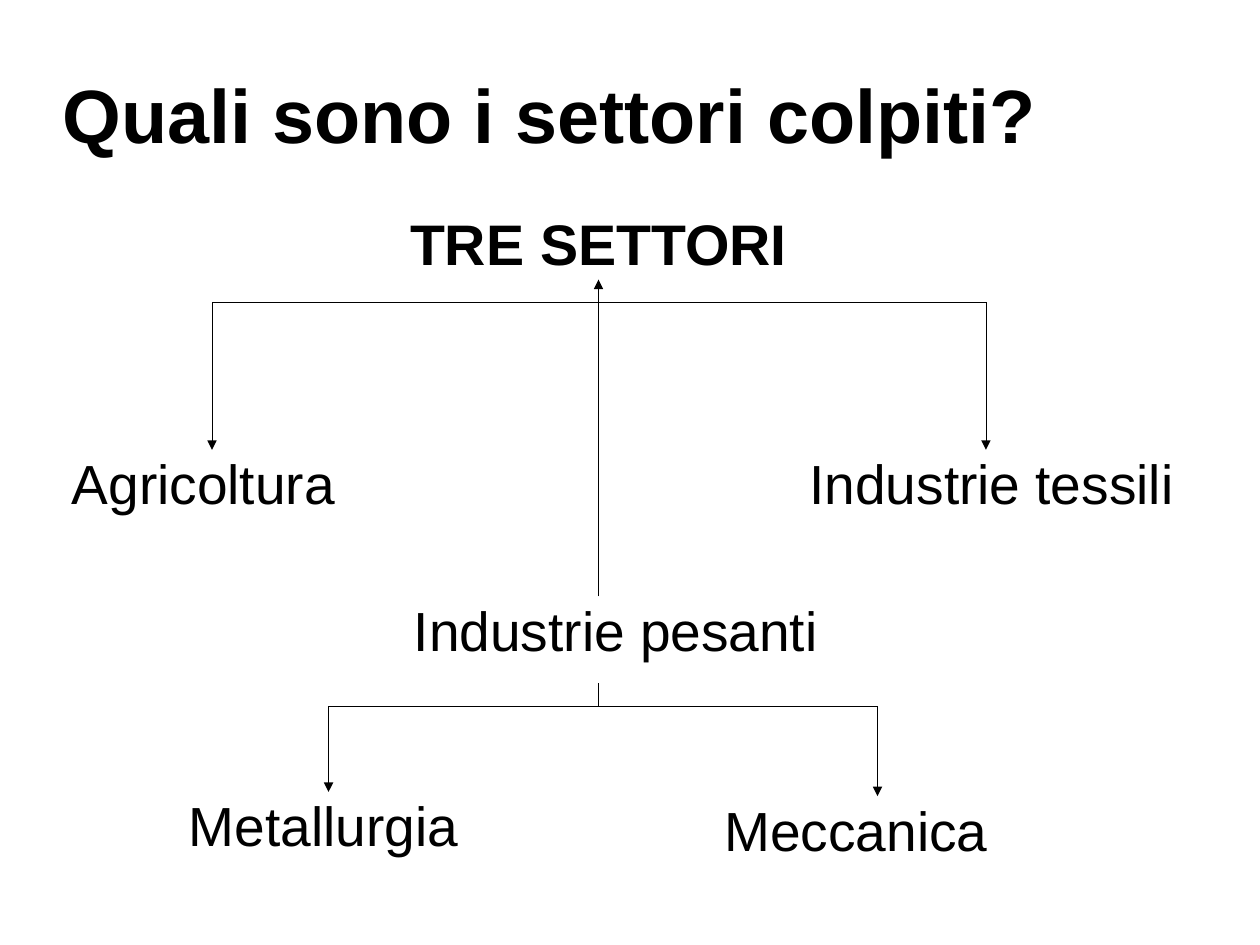
from dataclasses import dataclass
from lxml.etree import SubElement
from pptx import Presentation
from pptx.dml.color import RGBColor
from pptx.enum.shapes import MSO_CONNECTOR
from pptx.enum.text import MSO_ANCHOR, PP_ALIGN
from pptx.oxml.ns import qn
from pptx.util import Cm, Pt


@dataclass
class Theme:
    font: str = "Arial"
    ink: RGBColor = RGBColor(0, 0, 0)
    paper: RGBColor = RGBColor(255, 255, 255)
    title_size: float = 47.6
    heading_size: float = 36
    label_size: float = 34.7


theme = Theme()
presentation = Presentation()
presentation.slide_width = Cm(28)
presentation.slide_height = Cm(21)
column = presentation.slide_width / 100
row = presentation.slide_height / 100
slide = presentation.slides.add_slide(presentation.slide_layouts[5])
slide.background.fill.solid()
slide.background.fill.fore_color.rgb = theme.paper


def write(shape, text, box, size, bold=False, align=PP_ALIGN.LEFT, indent=0):
    left, top, width, height = box
    shape.left, shape.width = round(left * column), round(width * column)
    shape.top, shape.height = round(top * row), round(height * row)
    frame = shape.text_frame
    frame.text = text
    frame.word_wrap = True
    frame.margin_left = round(indent * column)
    frame.margin_right = frame.margin_top = frame.margin_bottom = 0
    frame.vertical_anchor = MSO_ANCHOR.MIDDLE if bold else MSO_ANCHOR.TOP
    paragraph = frame.paragraphs[0]
    paragraph.alignment = align
    font = paragraph.runs[0].font
    font.name, font.size, font.bold = theme.font, Pt(size), bold
    font.color.rgb = theme.ink


def connect(kind, start, start_side, end, end_side):
    connector = slide.shapes.add_connector(kind, 0, 0, 0, 0)
    connector.begin_connect(start, start_side)
    connector.end_connect(end, end_side)
    connector.line.color.rgb = theme.ink
    properties = connector._element.spPr
    outline = properties.find(qn("a:ln"))
    outline.set("w", "0")
    SubElement(outline, qn("a:tailEnd"), type="triangle")
    SubElement(properties, qn("a:effectLst"))
    return connector


write(slide.shapes.title, "Quali sono i settori colpiti?", (4.97, 3.8, 90, 16.45),
      theme.title_size, bold=True)
heading = slide.shapes.add_textbox(0, 0, 0, 0)
write(heading, "TRE SETTORI", (15.7, 21.65, 63.6, 7.95),
      theme.heading_size, bold=True, align=PP_ALIGN.CENTER)

sectors = {
    "Agricoltura": (1.45, 47.6, 30.75, 4.25),
    "Industrie tessili": (60, 47.6, 36.5, 4.25),
    "Industrie pesanti": (28.6, 63.1, 37.8, 4.25),
    "Metallurgia": (15, 83.8, 22.15, 0),
    "Meccanica": (57.5, 84.25, 24.3, 0),
}
labels = {}
for name, (left, top, width, indent) in sectors.items():
    labels[name] = slide.shapes.add_textbox(0, 0, 0, 0)
    write(labels[name], name, (left, top, width, 9.2), theme.label_size, indent=indent)

heavy_industry = labels["Industrie pesanti"]
connect(MSO_CONNECTOR.STRAIGHT, heavy_industry, 0, heading, 2)

branches = [
    (heading, "Agricoltura"),
    (heading, "Industrie tessili"),
    (heavy_industry, "Metallurgia"),
    (heavy_industry, "Meccanica"),
]
turn = 2.4 * row
for parent, name in branches:
    branch = connect(MSO_CONNECTOR.ELBOW, parent, 2, labels[name], 0)
    span = branch.end_x - branch.begin_x
    drop = branch.end_y - branch.begin_y
    center_x = (branch.begin_x + branch.end_x) / 2
    center_y = (branch.begin_y + branch.end_y) / 2
    branch.left, branch.width = round(center_x - drop / 2), drop
    branch.top, branch.height = round(center_y - abs(span) / 2), abs(span)
    transform = branch._element.spPr.find(qn("a:xfrm"))
    transform.set("rot", str((270 if span > 0 else 90) * 60000))
    transform.set("flipH", "1" if span > 0 else "0")
    transform.set("flipV", "0")
    adjustments = branch._element.spPr.find(qn("a:prstGeom")).get_or_add_avLst()
    SubElement(adjustments, qn("a:gd"), name="adj1", fmla=f"val {round(turn / drop * 100000)}")

presentation.save("out.pptx")
